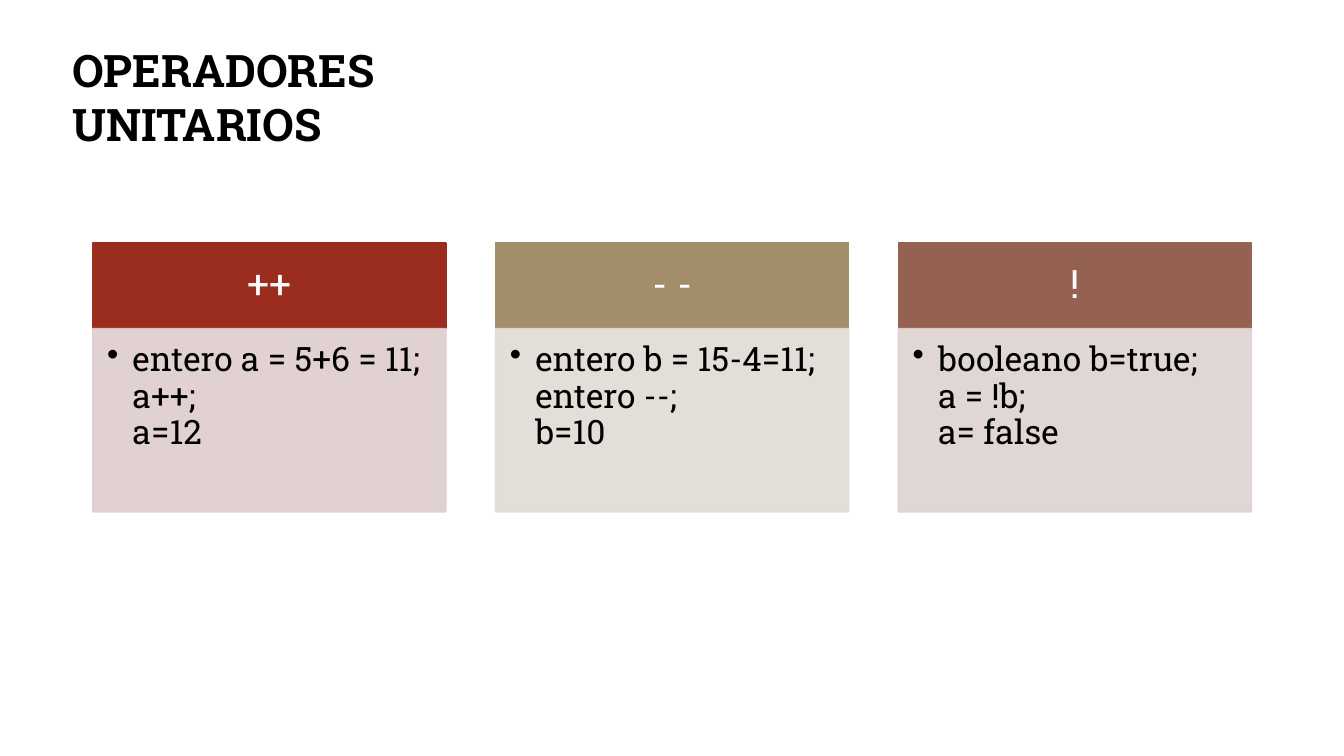
"""Build the slide on unary operators with three operator cards."""
from lxml import etree
from pptx import Presentation
from pptx import util as u
from pptx.dml.color import RGBColor
from pptx.enum import shapes, text
from pptx.oxml.ns import qn

BLACK = RGBColor(0x00, 0x00, 0x00)
WHITE = RGBColor(0xFF, 0xFF, 0xFF)
RED = RGBColor(0x9B, 0x2D, 0x1F)
PALE_RED = RGBColor(0xDE, 0xCD, 0xCD)
SAND = RGBColor(0xA2, 0x8E, 0x6A)
PALE_SAND = RGBColor(0xE0, 0xDB, 0xD4)
BROWN = RGBColor(0x95, 0x62, 0x51)
PALE_BROWN = RGBColor(0xDD, 0xD3, 0xD0)

OPERATORS = [
    ("++", "entero a = 5+6 = 11;\va++;\va=12", RED, PALE_RED),
    ("- -", "entero b = 15-4=11;\ventero --;\vb=10", SAND, PALE_SAND),
    ("!", "booleano b=true;\va = !b;\va= false", BROWN, PALE_BROWN),
]
LEFT, PITCH, WIDTH = 2.34, 10.15, 8.9
TOP, HEADER_HEIGHT, EXAMPLE_HEIGHT = 6.12, 2.16, 4.62


def assign(target, values):
    for name, value in values.items():
        setattr(target, name, value)


class OperatorSlide:
    """Holds the style and the current slide."""
    FONT = "Roboto Slab"

    def __init__(self, deck):
        self.slide = deck.slides.add_slide(deck.slide_layouts[6])

    def fill_text(self, frame, words, size, color, margins, bold=False, **paragraph_format):
        frame.text = words
        frame.word_wrap = True
        sides = ("margin_left", "margin_top", "margin_right", "margin_bottom")
        assign(frame, dict(zip(sides, map(u.Cm, margins))))
        paragraph = frame.paragraphs[0]
        assign(paragraph, paragraph_format)
        for run in paragraph.runs:
            assign(run.font, {"name": self.FONT, "size": u.Pt(size), "bold": bold})
            run.font.color.rgb = color
        return paragraph

    def title(self, words):
        heading = self.slide.shapes.add_textbox(u.Cm(1.57), u.Cm(0.94), u.Cm(13.44), u.Cm(1.63))
        self.fill_text(heading.text_frame, words, 32, BLACK, (0.25, 0.13, 0.25, 0.13), bold=True)

    def panel(self, left, top, height, color):
        panel = self.slide.shapes.add_shape(
            shapes.MSO_SHAPE.RECTANGLE, u.Cm(left), u.Cm(top), u.Cm(WIDTH), u.Cm(height))
        panel.shadow.inherit = False
        panel.fill.solid()
        panel.fill.fore_color.rgb = color
        panel.line.color.rgb = color
        panel.line.width = u.Pt(1)
        return panel

    def header(self, left, symbol, color):
        frame = self.panel(left, TOP, HEADER_HEIGHT, color).text_frame
        frame.vertical_anchor = text.MSO_ANCHOR.MIDDLE
        self.fill_text(frame, symbol, 28, WHITE, (0.56, 0.3, 0.56, 0.3),
                       alignment=text.PP_ALIGN.CENTER, line_spacing=0.9)

    def example(self, left, code, color):
        panel = self.panel(left, TOP + HEADER_HEIGHT, EXAMPLE_HEIGHT, color)
        for tint in panel.element.spPr.iter(qn("a:srgbClr")):
            etree.SubElement(tint, qn("a:alpha"), val="90000")
        frame = panel.text_frame
        frame.vertical_anchor = text.MSO_ANCHOR.TOP
        paragraph = self.fill_text(frame, code, 24, BLACK, (0.36, 0.36, 0.48, 0.53),
                                   alignment=text.PP_ALIGN.LEFT, line_spacing=0.9, level=1)
        properties = paragraph._p.get_or_add_pPr()
        indent = u.Cm(0.64)
        properties.set("marL", str(indent))
        properties.set("indent", str(-indent))
        etree.SubElement(properties, qn("a:buChar"), char="•")


def main():
    deck = Presentation()
    assign(deck, {"slide_width": u.Cm(33.87), "slide_height": u.Cm(19.05)})
    page = OperatorSlide(deck)
    page.title("OPERADORES UNITARIOS")
    for column, (symbol, code, strong, pale) in enumerate(OPERATORS):
        left = LEFT + column * PITCH
        page.header(left, symbol, strong)
        page.example(left, code, pale)
    deck.save("out.pptx")


if __name__ == "__main__":
    main()
